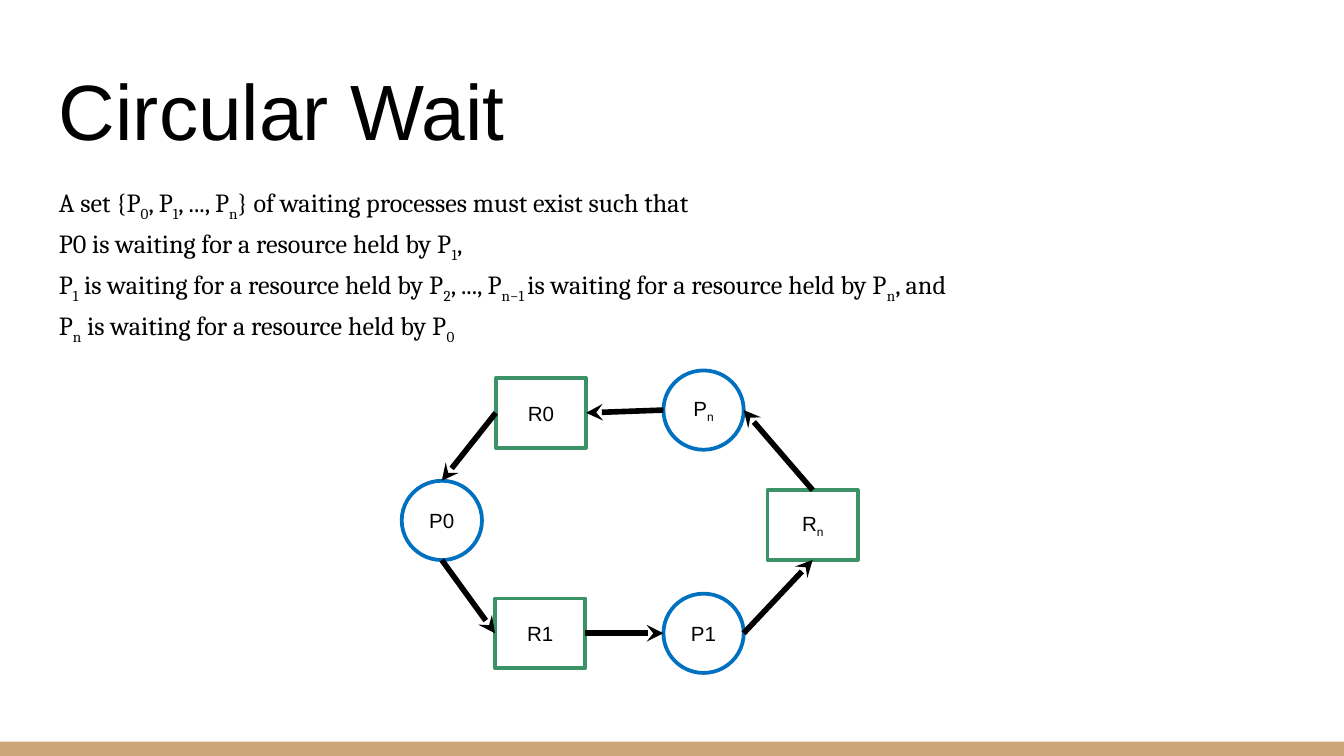
from dataclasses import dataclass

from lxml import etree
from pptx import Presentation
from pptx import util as u
from pptx.dml.color import RGBColor
from pptx.enum import shapes, text
from pptx.oxml.ns import qn
from pptx.shapes.autoshape import Shape
from pptx.slide import Slide
from pptx.text.text import TextFrame


@dataclass(frozen=True)
class Theme:
    ink: RGBColor = RGBColor(0x00, 0x00, 0x00)
    band: RGBColor = RGBColor(0xCC, 0xA6, 0x77)
    process: RGBColor = RGBColor(0x00, 0x70, 0xC0)
    resource: RGBColor = RGBColor(0x3B, 0x92, 0x67)
    sans: str = "Arial"
    serif: str = "Cambria"
    title_size: float = 42
    body_size: float = 14
    label_size: float = 11
    outline: float = 2
    arrow: float = 3


@dataclass(frozen=True)
class Kind:
    outline: shapes.MSO_SHAPE
    color: RGBColor
    width: float
    height: float


@dataclass(frozen=True)
class Node:
    kind: Kind
    x: float
    y: float
    label: tuple[str, ...]

    def side(self, name: str) -> tuple[float, float]:
        across, down = SIDES[name]
        return self.x + across * self.kind.width / 2, self.y + down * self.kind.height / 2


@dataclass(frozen=True)
class Arrow:
    start: str
    start_side: str
    end: str
    end_side: str


THEME = Theme()
SIDES = {"left": (-1, 0), "right": (1, 0), "top": (0, -1), "bottom": (0, 1)}
PROCESS = Kind(shapes.MSO_SHAPE.OVAL, THEME.process, 43, 42.5)
RESOURCE = Kind(shapes.MSO_SHAPE.RECTANGLE, THEME.resource, 48.4, 37.4)

# Text pieces alternate between normal and subscript.
CONDITIONS = [
    ("A set {P", "0", ", P", "1", ", ..., P", "n",
     "} of waiting processes must exist such that"),
    ("P0 is waiting for a resource held by P", "1", ","),
    ("P", "1", " is waiting for a resource held by P", "2", ", ..., P", "n−1 ",
     "is waiting for a resource held by P", "n", ", and"),
    ("P", "n", " is waiting for a resource held by P", "0"),
]
NODES = {
    "R0": Node(RESOURCE, 289.8, 221.2, ("R0",)),
    "R1": Node(RESOURCE, 289.4, 339.3, ("R1",)),
    "P0": Node(PROCESS, 236.7, 278.8, ("P0",)),
    "P1": Node(PROCESS, 376.9, 339.3, ("P1",)),
    "Rn": Node(RESOURCE, 435.4, 281.3, ("R", "n")),
    "Pn": Node(PROCESS, 376.9, 219.7, ("P", "n")),
}
ARROWS = [
    Arrow("R0", "left", "P0", "top"),
    Arrow("P0", "bottom", "R1", "left"),
    Arrow("R1", "right", "P1", "left"),
    Arrow("P1", "right", "Rn", "bottom"),
    Arrow("Rn", "top", "Pn", "right"),
    Arrow("Pn", "left", "R0", "right"),
]


def write(frame: TextFrame, lines: list[tuple[str, ...]], font: str, size: float,
          align: text.PP_ALIGN = text.PP_ALIGN.LEFT, spacing: float = 1.0) -> None:
    for number, pieces in enumerate(lines):
        paragraph = frame.add_paragraph() if number else frame.paragraphs[0]
        paragraph.alignment = align
        paragraph.line_spacing = spacing
        for index, piece in enumerate(pieces):
            run = paragraph.add_run()
            run.text = piece
            run.font.name = font
            run.font.size = u.Pt(size)
            run.font.color.rgb = THEME.ink
            if index % 2:
                run._r.get_or_add_rPr().set("baseline", "-25000")


def add_text(slide: Slide, top: float, width: float, height: float,
             anchor: text.MSO_ANCHOR) -> TextFrame:
    frame = slide.shapes.add_textbox(
        u.Pt(24.5), u.Pt(top), u.Pt(width), u.Pt(height)).text_frame
    frame.word_wrap = True
    frame.vertical_anchor = anchor
    frame.margin_left = frame.margin_right = u.Pt(7.2)
    frame.margin_top = frame.margin_bottom = u.Pt(7.2)
    return frame


def add_band(slide: Slide) -> None:
    band = slide.shapes.add_shape(
        shapes.MSO_SHAPE.RECTANGLE, u.Pt(0), u.Pt(397.4), u.Pt(720), u.Pt(7.6))
    band.shadow.inherit = False
    band.fill.solid()
    band.fill.fore_color.rgb = THEME.band
    band.line.fill.background()


def add_node(slide: Slide, node: Node) -> Shape:
    kind = node.kind
    left, top = node.x - kind.width / 2, node.y - kind.height / 2
    shape = slide.shapes.add_shape(
        kind.outline, u.Pt(left), u.Pt(top), u.Pt(kind.width), u.Pt(kind.height))
    shape.shadow.inherit = False
    shape.fill.background()
    shape.line.color.rgb = kind.color
    shape.line.width = u.Pt(THEME.outline)
    shape.text_frame.vertical_anchor = text.MSO_ANCHOR.MIDDLE
    write(shape.text_frame, [node.label], THEME.sans, THEME.label_size,
          text.PP_ALIGN.CENTER)
    return shape


def add_arrow(slide: Slide, arrow: Arrow) -> None:
    points = (*NODES[arrow.start].side(arrow.start_side),
              *NODES[arrow.end].side(arrow.end_side))
    connector = slide.shapes.add_connector(
        shapes.MSO_CONNECTOR.STRAIGHT, *(u.Pt(value) for value in points))
    connector.line.color.rgb = THEME.ink
    connector.line.width = u.Pt(THEME.arrow)
    etree.SubElement(connector.line._get_or_add_ln(), qn("a:tailEnd"), type="stealth")
    etree.SubElement(connector._element.spPr, qn("a:effectLst"))


def main() -> None:
    presentation = Presentation()
    presentation.slide_width = u.Pt(720)
    presentation.slide_height = u.Pt(405)
    slide = presentation.slides.add_slide(presentation.slide_layouts[6])

    add_band(slide)
    title = add_text(slide, 25.2, 671, 65.5, text.MSO_ANCHOR.BOTTOM)
    write(title, [("Circular Wait",)], THEME.sans, THEME.title_size)
    body = add_text(slide, 90, 661.7, 90.7, text.MSO_ANCHOR.TOP)
    write(body, CONDITIONS, THEME.serif, THEME.body_size, spacing=1.15)
    for node in NODES.values():
        add_node(slide, node)
    for arrow in ARROWS:
        add_arrow(slide, arrow)

    presentation.save("out.pptx")


if __name__ == "__main__":
    main()
